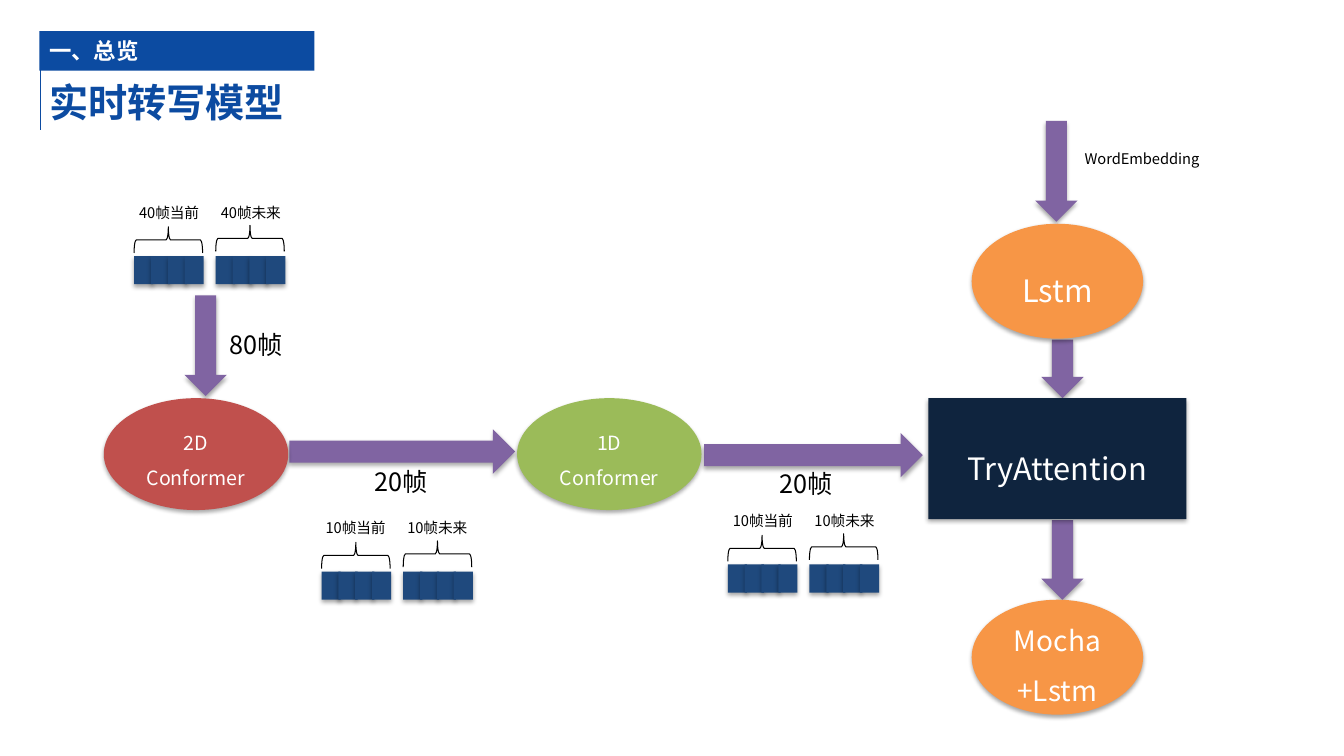
from dataclasses import dataclass

from lxml import etree
from pptx import Presentation
from pptx.dml.color import RGBColor
from pptx.enum.shapes import MSO_CONNECTOR, MSO_SHAPE
from pptx.enum.text import MSO_ANCHOR, PP_ALIGN
from pptx.oxml.ns import qn
from pptx.util import Inches, Pt

RECT, OVAL = MSO_SHAPE.RECTANGLE, MSO_SHAPE.OVAL
ARROW, BRACE = MSO_SHAPE.DOWN_ARROW, MSO_SHAPE.RIGHT_BRACE
LINE = MSO_CONNECTOR.STRAIGHT
MIDDLE = MSO_ANCHOR.MIDDLE
LEFT, CENTER = PP_ALIGN.LEFT, PP_ALIGN.CENTER

CELL = 0.1  # grid step in inches: 133.3 columns by 75 rows
PAD = (1, 0.5, 1, 0.5)
SLIM = (0.7, 0, 0, 0)


@dataclass(frozen=True)
class Theme:
    font: str = "Noto Sans CJK SC"
    head: str = "Arial"
    brand: str = "0C4BA1"
    white: str = "FFFFFF"
    black: str = "000000"
    flow: str = "8064A2"
    tile: str = "1F497D"
    red: str = "C0504D"
    green: str = "9BBB59"
    orange: str = "F79646"
    navy: str = "0F243E"
    title: float = 28
    large: float = 22
    mocha: float = 20
    count: float = 18
    tag: float = 16
    node: float = 14
    small: float = 10.5


T = Theme()


def grid(*cells):
    return [Inches(cell * CELL) for cell in cells]


def write(shape, text, size, color, font=T.font, bold=False,
          align=LEFT, pad=PAD, wrap=True, space=None):
    frame = shape.text_frame
    frame.word_wrap = wrap
    frame.vertical_anchor = MIDDLE
    (frame.margin_left, frame.margin_top,
     frame.margin_right, frame.margin_bottom) = grid(*pad)
    para = frame.paragraphs[0]
    para.alignment = align
    if space:
        para.line_spacing = space
    run = para.add_run()
    run.text = text
    run.font.size = Pt(size)
    run.font.bold = bold
    run.font.name = font
    run.font.color.rgb = RGBColor.from_string(color)
    east = etree.SubElement(run.font._element, qn("a:ea"))
    east.set("typeface", T.font)


def shade(shape):
    effects = shape._element.spPr.find(qn("a:effectLst"))
    drop = etree.SubElement(effects, qn("a:outerShdw"), blurRad="40000",
                            dist="23000", dir="5400000", rotWithShape="0")
    color = etree.SubElement(drop, qn("a:srgbClr"), val=T.black)
    etree.SubElement(color, qn("a:alpha"), val="35000")


def block(slide, kind, box, fill, shadow=True, turn=0):
    shape = slide.shapes.add_shape(kind, *grid(*box))
    shape.fill.solid()
    shape.fill.fore_color.rgb = RGBColor.from_string(fill)
    shape.line.fill.background()
    shape.shadow.inherit = False
    shape.rotation = turn
    if shadow:
        shade(shape)
    return shape


def node(slide, kind, box, fill, text, size):
    shape = block(slide, kind, box, fill)
    write(shape, text, size, T.white, align=CENTER, space=1.5)


def label(slide, box, text, size):
    shape = slide.shapes.add_textbox(*grid(*box))
    write(shape, text, size, T.black, pad=SLIM, wrap=False)


def brace(slide, box):
    shape = slide.shapes.add_shape(BRACE, *grid(*box))
    shape.fill.background()
    shape.line.color.rgb = RGBColor.from_string(T.black)
    shape.line.width = Pt(0.75)
    shape.shadow.inherit = False
    shape.rotation = 270


def frames(slide, col, row, count, shift):
    """Current and future frames: four tiles, a brace and a label each."""
    for part, name in enumerate(("当前", "未来")):
        left = col + 8.1 * part
        for step in range(4):
            block(slide, RECT, (left + 1.67 * step, row, 1.9, 2.8), T.tile)
        brace(slide, (left + 2.1, row - 5 - 0.15 * part, 2.6, 6.8))
        label(slide, (left - shift, row - 6.1, 7.9, 3.5),
              f"{count}帧{name}", T.small)


def header(slide):
    rule = slide.shapes.add_connector(LINE, *grid(4, 3.3, 4, 12.9))
    rule.line.color.rgb = RGBColor.from_string(T.brand)
    rule.line.width = Pt(0.75)
    etree.SubElement(rule._element.spPr, qn("a:effectLst"))
    title = slide.shapes.add_textbox(*grid(3.9, 6.8, 115, 6.6))
    write(title, "实时转写模型", T.title, T.brand, bold=True)
    tag = block(slide, RECT, (3.9, 3.1, 27.3, 3.9), T.brand, shadow=False)
    write(tag, "一、总览", T.tag, T.white, font=T.head, bold=True)


def main():
    deck = Presentation()
    deck.slide_width, deck.slide_height = grid(133.33, 75)
    slide = deck.slides.add_slide(deck.slide_layouts[6])
    header(slide)

    # Flow arrows
    for box, turn in (
        ((18.3, 29.3, 4.2, 10), 0),
        ((37.7, 33.6, 4.4, 22.4), 270),
        ((78.5, 34.3, 4.4, 21.7), 270),
        ((102.7, 12, 4.2, 10), 0),
        ((103.3, 33.7, 4.2, 5.8), 0),
        ((103.3, 51.6, 4.2, 7.9), 0),
    ):
        block(slide, ARROW, box, T.flow, turn=turn)

    # Model stages
    for kind, box, fill, text, size in (
        (OVAL, (10.3, 39.5, 18.3, 11.1), T.red, "2D Conformer", T.node),
        (OVAL, (51.3, 39.5, 18.3, 11.1), T.green, "1D Conformer", T.node),
        (OVAL, (96.4, 22.2, 17, 11.4), T.orange, "Lstm", T.large),
        (RECT, (92.1, 39.5, 25.6, 12), T.navy, "TryAttention", T.large),
        (OVAL, (96.4, 59.5, 17, 11.4), T.orange, "Mocha+Lstm", T.mocha),
    ):
        node(slide, kind, box, fill, text, size)

    # Arrow labels
    for col, row, width, text, size in (
        (22.1, 29.2, 10, "80帧", T.count),
        (36.5, 42.8, 10, "20帧", T.count),
        (76.6, 43, 10, "20帧", T.count),
        (106.9, 10.7, 14, "WordEmbedding", T.small),
    ):
        label(slide, (col, row, width, 10), text, size)

    # Frame groups
    frames(slide, 13.3, 25.4, 40, 0.2)
    frames(slide, 31.9, 56.7, 10, 0.3)
    frames(slide, 72.2, 56, 10, 0.2)

    deck.save("out.pptx")


if __name__ == "__main__":
    main()
